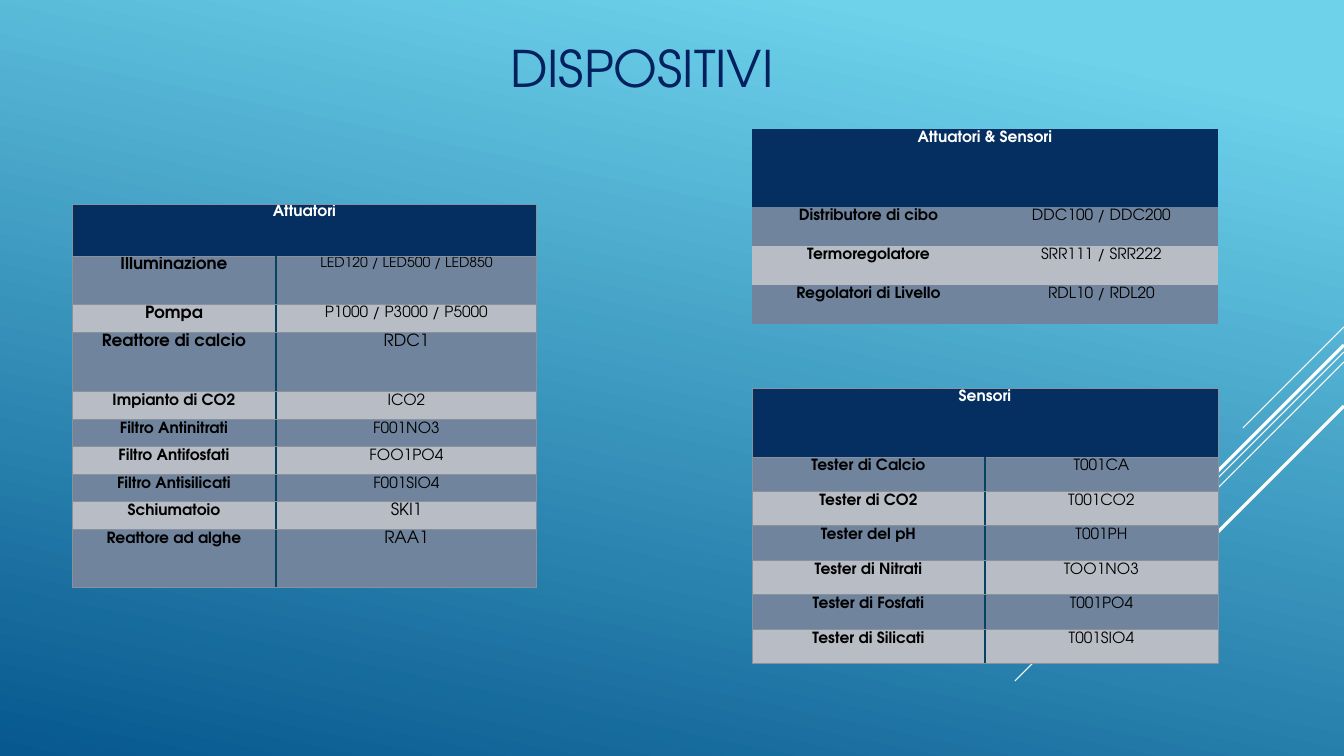
from dataclasses import dataclass

from lxml.etree import SubElement
from pptx import Presentation
from pptx.dml.color import RGBColor
from pptx.enum.shapes import MSO_CONNECTOR as Connector
from pptx.enum.text import MSO_ANCHOR as Anchor, PP_ALIGN as Align
from pptx.oxml.ns import qn
from pptx.util import Pt

EMU_PER_PX = 914400 / 100.8
NO_STYLE = "{2D5ABB26-0587-4C30-8999-92F81FD0307C}"


@dataclass(frozen=True)
class Theme:
    font: str = "TeX Gyre Adventor"
    sky: str = "6ED2EB"
    sea: str = "06588E"
    white: str = "FFFFFF"
    black: str = "000000"
    title: str = "002060"
    header: str = "052F61"
    dark_row: str = "70849D"
    light_row: str = "B8BCC5"
    grid: str = "89919C"
    divider: str = "054361"
    title_size: int = 36
    large: int = 12
    normal: int = 11
    small: int = 10


THEME = Theme()


@dataclass(frozen=True)
class Entry:
    text: str
    size: int = THEME.normal
    spacing: float = 1.15


def px(length):
    return round(length * EMU_PER_PX)


def large(text):
    return Entry(text, THEME.large, 1.07)


def rows_of(pairs):
    return [(Entry(label), Entry(code)) for label, code in pairs]


def format_font(font, size, color, bold=False):
    font.name = THEME.font
    font.size = Pt(size)
    font.bold = bold
    font.color.rgb = RGBColor.from_string(color)


def paint_background(slide):
    fill = slide.background.fill
    fill.gradient()
    fill.gradient_angle = 258
    for stop, position, color in zip(fill.gradient_stops, (0.1, 1), (THEME.sky, THEME.sea)):
        stop.position = position
        stop.color.rgb = RGBColor.from_string(color)


def add_ray(slide, top, length, width):
    ray = slide.shapes.add_connector(
        Connector.STRAIGHT, px(1344), px(top), px(1344 - length), px(top + length)
    )
    ray.line.color.rgb = RGBColor.from_string(THEME.white)
    ray.line.width = Pt(width)
    SubElement(ray._element.spPr, qn("a:effectLst"))


def add_title(slide, text):
    title = slide.shapes.title
    title.left, title.top, title.width, title.height = px(500), px(3), px(344), px(129)
    title.text_frame.text = text
    title.text_frame.vertical_anchor = Anchor.MIDDLE
    paragraph = title.text_frame.paragraphs[0]
    paragraph.alignment = Align.LEFT
    format_font(paragraph.runs[0].font, THEME.title_size, THEME.title)


def add_border(cell, side, color, width, alpha):
    line = SubElement(cell._tc.get_or_add_tcPr(), qn(f"a:ln{side}"), w=str(Pt(width)))
    fill = SubElement(line, qn("a:solidFill"))
    tone = SubElement(fill, qn("a:srgbClr"), val=color)
    SubElement(tone, qn("a:alpha"), val=str(alpha * 1000))


def add_borders(cell, divider_side):
    for side in "LRTB":
        if side == divider_side:
            add_border(cell, side, THEME.divider, 1.25, 100)
        else:
            add_border(cell, side, THEME.grid, 0.75, 60)


def fill_cell(cell, entry, background, color, bold):
    cell.fill.solid()
    cell.fill.fore_color.rgb = RGBColor.from_string(background)
    cell.margin_left = cell.margin_right = px(7)
    cell.margin_top = cell.margin_bottom = 0
    cell.text_frame.text = entry.text
    paragraph = cell.text_frame.paragraphs[0]
    paragraph.alignment = Align.CENTER
    paragraph.line_spacing = entry.spacing
    paragraph.space_after = Pt(8)
    format_font(paragraph.runs[0].font, entry.size, color, bold)


def add_device_table(slide, left, top, widths, heights, header, rows, bordered=True):
    frame = slide.shapes.add_table(
        len(heights), len(widths), px(left), px(top), px(sum(widths)), px(sum(heights))
    )
    table = frame.table
    table._tbl.tblPr.find(qn("a:tableStyleId")).text = NO_STYLE
    for column, width in zip(table.columns, widths):
        column.width = px(width)
    for row, height in zip(table.rows, heights):
        row.height = px(height)

    heading = table.cell(0, 0)
    heading.merge(table.cell(0, 1))
    if bordered:
        for column in range(2):
            add_borders(table.cell(0, column), None)
    fill_cell(heading, header, THEME.header, THEME.white, True)

    for row_index, entries in enumerate(rows, 1):
        background = THEME.dark_row if row_index % 2 else THEME.light_row
        for column, entry in enumerate(entries):
            cell = table.cell(row_index, column)
            if bordered:
                add_borders(cell, "RL"[column])
            fill_cell(cell, entry, background, THEME.black, column == 0)


def main():
    presentation = Presentation()
    presentation.slide_width, presentation.slide_height = px(1344), px(756)
    slide = presentation.slides.add_slide(presentation.slide_layouts[5])
    paint_background(slide)
    add_title(slide, "DISPOSITIVI")

    for top, length, width in (
        (327, 101, 0.75),
        (352, 329, 0.75),
        (362, 209, 0.75),
        (345, 193, 2.25),
        (406, 140, 2.25),
    ):
        add_ray(slide, top, length, width)

    actuators = [
        (large("Illuminazione"), Entry("LED120 / LED500 / LED850", THEME.small, 1.07)),
        (large("Pompa"), Entry("P1000 / P3000 / P5000", spacing=1.07)),
        (large("Reattore di calcio"), large("RDC1")),
        *rows_of([
            ("Impianto di CO2", "ICO2"),
            ("Filtro Antinitrati", "F001NO3"),
            ("Filtro Antifosfati", "FOO1PO4"),
            ("Filtro Antisilicati", "F001SIO4"),
        ]),
        (Entry("Schiumatoio"), large("SKI1")),
        (Entry("Reattore ad alghe"), large("RAA1")),
    ]
    add_device_table(
        slide, 72, 204, (204, 261), (52, 49, 28, 59, 28, 27, 28, 27, 28, 58),
        Entry("Attuatori", spacing=1.07), actuators,
    )

    combined = rows_of([
        ("Distributore di cibo", "DDC100 / DDC200"),
        ("Termoregolatore", "SRR111 / SRR222"),
        ("Regolatori di Livello", "RDL10 / RDL20"),
    ])
    add_device_table(
        slide, 752, 129, (233, 233), (78, 39, 39, 39),
        Entry("Attuatori & Sensori"), combined, bordered=False,
    )

    sensors = rows_of([
        ("Tester di Calcio", "T001CA"),
        ("Tester di CO2", "T001CO2"),
        ("Tester del pH", "T001PH"),
        ("Tester di Nitrati", "TOO1NO3"),
        ("Tester di Fosfati", "T001PO4"),
        ("Tester di Silicati", "T001SIO4"),
    ])
    add_device_table(
        slide, 752, 388, (233, 233), (69, *(35, 34) * 3), Entry("Sensori"), sensors
    )
    presentation.save("out.pptx")


if __name__ == "__main__":
    main()
